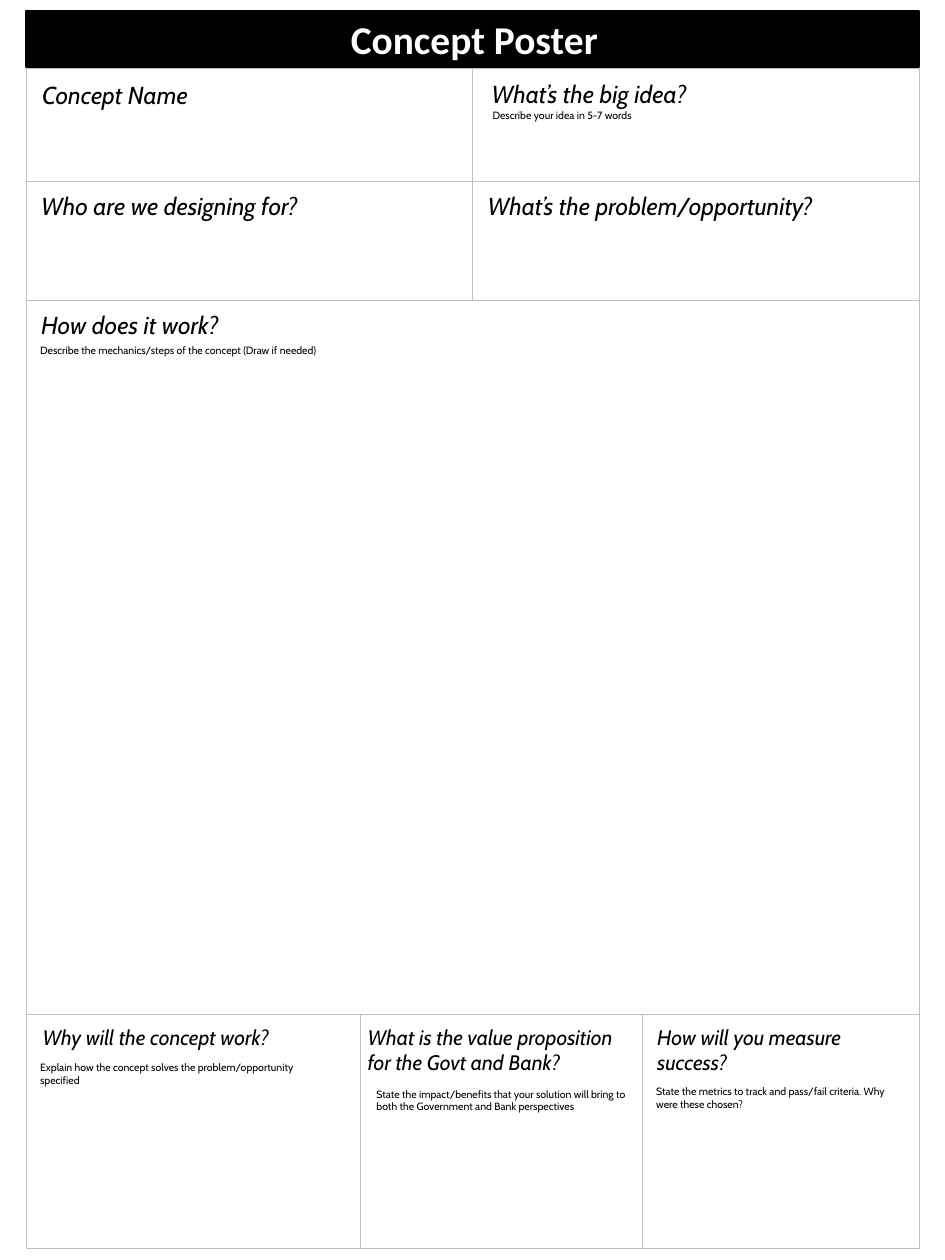
from dataclasses import dataclass
from itertools import accumulate

from pptx import Presentation
from pptx.dml.color import RGBColor
from pptx.enum.shapes import MSO_SHAPE as Preset
from pptx.enum.text import MSO_ANCHOR as Anchor, MSO_AUTO_SIZE as AutoSize, PP_ALIGN as Align
from pptx.util import Cm, Pt


@dataclass(frozen=True)
class Theme:
    ink: RGBColor = RGBColor(0, 0, 0)
    paper: RGBColor = RGBColor(255, 255, 255)
    rule: RGBColor = RGBColor(0xBF, 0xBF, 0xBF)
    body_font: str = "Cabin"
    title_font: str = "Calibri"
    title_size: float = 22.5
    heading_size: float = 14
    small_heading_size: float = 12
    hint_size: float = 6


THEME = Theme()

# Poster frame in centimetres
LEFT, WIDTH = 0.53, 18
BANNER = (LEFT, 0.23, WIDTH, 1.12)
HEADING_INSETS = (0.3, 0.2, 0.3, 0.2)
HINT_INSETS = (0.25, 0.13, 0.25, 0.13)
TITLE_INSETS = (0.15, 0.08, 0.08, 0.08)

# Each part: text, then its offset from the cell's corner and its size
# Each cell: width, heading, hint or None
ROWS = [
    (2.29, [
        (9, ("Concept Name", 0.02, 0.05, 3.91, 0.99), None),
        (9, ("What’s the big idea?", 0.08, 0.03, 5.05, 0.99),
         ("Describe your idea in 5-7 words", 0.15, 0.69, 3.51, 0.51)),
    ]),
    (2.39, [
        (9, ("Who are we designing for?", 0, 0, 6.5, 0.99), None),
        (9, ("What’s the problem/opportunity?", 0, 0, 7.72, 0.99), None),
    ]),
    (14.4, [
        (18, ("How does it work?", 0, 0, 4.67, 0.99),
         ("Describe the mechanics/steps of the concept (Draw if needed)",
          0.03, 0.76, 6.32, 0.51)),
    ]),
]
BOTTOM_ROW = (4.72, [
    (6.73, ("Why will the concept work?", 0.03, 0, 6.32, 0.91),
     ("Explain how the concept solves the problem/opportunity specified",
      0.03, 0.81, 6.07, 0.61)),
    (5.69, ("What is the value proposition for the Govt and Bank?", -0.15, 0, 6.07, 1.42),
     ("State the impact/benefits that your solution will bring to both the "
      "Government and Bank perspectives", 0.08, 1.35, 5.54, 0.76)),
    (5.58, ("How will you measure success?", 0, 0, 5.56, 1.42),
     ("State the metrics to track and pass/fail criteria. Why were these chosen?",
      0.03, 1.3, 5.54, 0.61)),
])


def write_text(shape, text, *, size, font=THEME.body_font, color=THEME.ink, bold=False,
               italic=False, align=Align.LEFT, insets=HINT_INSETS, wrap=False):
    frame = shape.text_frame
    frame.text = text
    frame.word_wrap = wrap
    frame.auto_size = AutoSize.SHAPE_TO_FIT_TEXT
    frame.vertical_anchor = Anchor.TOP
    (frame.margin_left, frame.margin_top,
     frame.margin_right, frame.margin_bottom) = map(Cm, insets)
    paragraph = frame.paragraphs[0]
    paragraph.alignment = align
    run_font = paragraph.runs[0].font
    run_font.name, run_font.size = font, Pt(size)
    run_font.bold, run_font.italic = bold, italic
    run_font.color.rgb = color


def add_box(slide, box, *, line, line_width, fill=None):
    shape = slide.shapes.add_shape(Preset.RECTANGLE, *map(Cm, box))
    shape.shadow.inherit = False
    if fill is None:
        shape.fill.background()
    else:
        shape.fill.solid()
        shape.fill.fore_color.rgb = fill
    shape.line.color.rgb = line
    shape.line.width = Pt(line_width)


def add_part(slide, corner, part, **text_format):
    text, dx, dy, width, height = part
    box = (corner[0] + dx, corner[1] + dy, width, height)
    shape = slide.shapes.add_textbox(*map(Cm, box))
    write_text(shape, text, **text_format)


def add_banner(slide, box):
    left, top, width, height = box
    add_box(slide, box, line=THEME.ink, line_width=1, fill=THEME.ink)
    title = slide.shapes.title
    title_width = 6.2
    title.left, title.top = Cm(left + (width - title_width) / 2), Cm(top)
    title.width, title.height = Cm(title_width), Cm(height)
    write_text(title, "Concept Poster", size=THEME.title_size, font=THEME.title_font,
               color=THEME.paper, bold=True, align=Align.CENTER, insets=TITLE_INSETS)
    # Bring the title in front of its banner
    slide.shapes._spTree.append(title._element)


def add_cell(slide, box, heading, hint, heading_size, wrap):
    add_box(slide, box, line=THEME.rule, line_width=0.25)
    add_part(slide, box[:2], heading, size=heading_size, italic=True,
             insets=HEADING_INSETS, wrap=wrap)
    if hint:
        add_part(slide, box[:2], hint, size=THEME.hint_size, wrap=wrap)


def add_row(slide, left, top, row, heading_size=THEME.heading_size, wrap=False):
    height, cells = row
    lefts = accumulate((cell[0] for cell in cells), initial=left)
    for cell_left, (width, heading, hint) in zip(lefts, cells):
        add_cell(slide, (cell_left, top, width, height), heading, hint, heading_size, wrap)


def main():
    presentation = Presentation()
    presentation.slide_width, presentation.slide_height = Cm(19.05), Cm(25.4)
    slide = presentation.slides.add_slide(presentation.slide_layouts[5])

    # Title banner
    add_banner(slide, BANNER)

    # Concept, audience and mechanics
    top = 1.37
    for row in ROWS:
        add_row(slide, LEFT, top, row)
        top += row[0]

    # Reasons, value and measures
    add_row(slide, LEFT, top, BOTTOM_ROW, THEME.small_heading_size, wrap=True)

    presentation.save("out.pptx")


if __name__ == "__main__":
    main()
